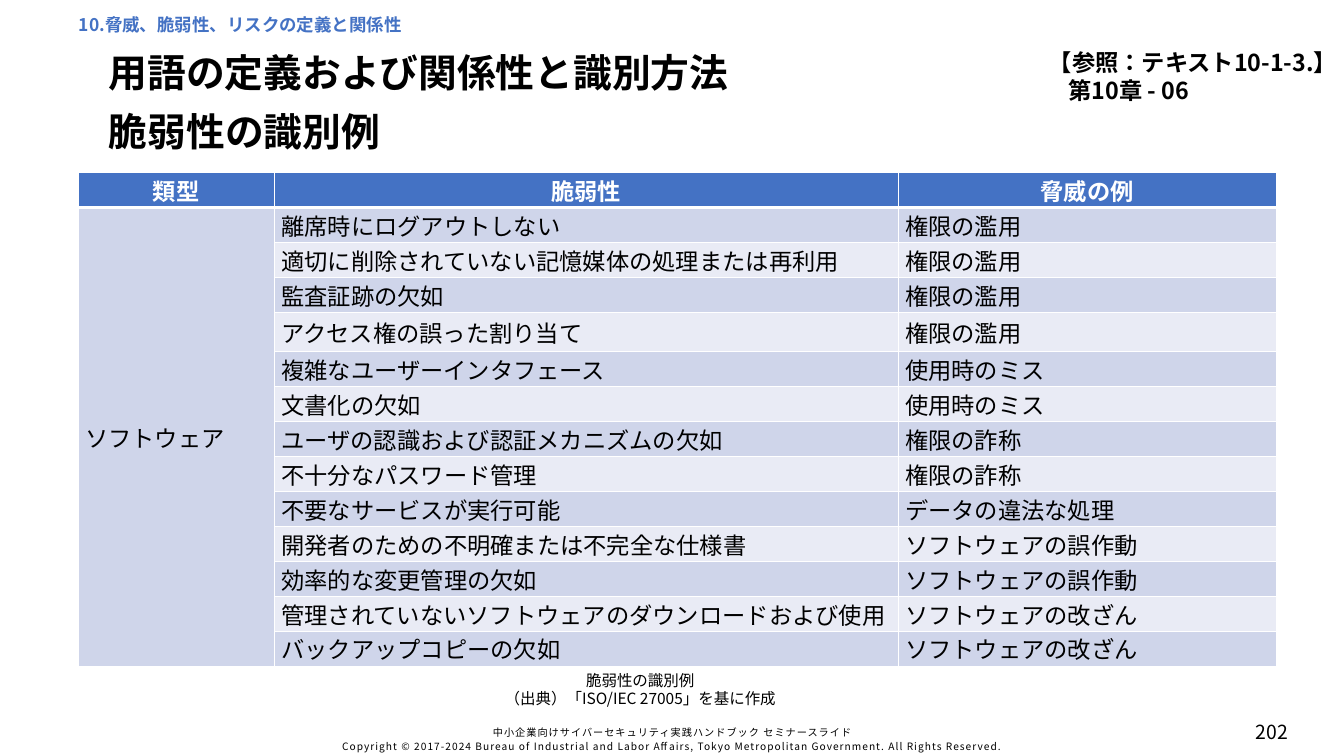
import dataclasses

import lxml.etree
import pptx
import pptx.dml.color
import pptx.enum.lang
import pptx.enum.text
import pptx.oxml.ns
import pptx.util

ALIGN = pptx.enum.text.PP_ALIGN
ANCHOR = pptx.enum.text.MSO_ANCHOR
PX = 9144  # EMU in one px, 100 px to the inch


@dataclasses.dataclass(frozen=True)
class Theme:
    font: str = "Noto Sans CJK JP"
    ink: str = "000000"
    white: str = "FFFFFF"
    accent: str = "4472C4"
    bands: tuple = ("CFD5EA", "E9EBF5")
    title: float = 40
    body: float = 24
    number: float = 20
    chapter: float = 18
    caption: float = 16
    footer: float = 10.5


THEME = Theme()
SLIDE_SIZE = (1926, 1083)

TITLE = ("脆弱性の識別例", (146, 161, 1634, 61))
HEADING = ("用語の定義および関係性と識別方法", (146, 77, 1634, 61))
CHAPTER = ("10.脅威、脆弱性、リスクの定義と関係性", (113, 28, 1747, 25))
REFERENCE = (("【参照：テキスト10-1-3.】", "第10章 - 06"), (1310, 64, 616, 91))
CAPTION = (("脆弱性の識別例", "（出典）「ISO/IEC 27005」を基に作成"), (433, 956, 969, 64))
FOOTER = (
    (
        "中小企業向けサイバーセキュリティ実践ハンドブック セミナースライド",
        "Copyright © 2017-2024 Bureau of Industrial and Labor Affairs, "
        "Tokyo Metropolitan Government. All Rights Reserved.",
    ),
    (374, 1033, 1179, 51),
)
PAGE_NUMBER = ("202", (1738, 1029, 169, 38))

HEADERS = ("類型", "脆弱性", "脅威の例")
CATEGORY = "ソフトウェア"
VULNERABILITIES = (
    ("離席時にログアウトしない", "権限の濫用"),
    ("適切に削除されていない記憶媒体の処理または再利用", "権限の濫用"),
    ("監査証跡の欠如", "権限の濫用"),
    ("アクセス権の誤った割り当て", "権限の濫用"),
    ("複雑なユーザーインタフェース", "使用時のミス"),
    ("文書化の欠如", "使用時のミス"),
    ("ユーザの認識および認証メカニズムの欠如", "権限の詐称"),
    ("不十分なパスワード管理", "権限の詐称"),
    ("不要なサービスが実行可能", "データの違法な処理"),
    ("開発者のための不明確または不完全な仕様書", "ソフトウェアの誤作動"),
    ("効率的な変更管理の欠如", "ソフトウェアの誤作動"),
    ("管理されていないソフトウェアのダウンロードおよび使用", "ソフトウェアの改ざん"),
    ("バックアップコピーの欠如", "ソフトウェアの改ざん"),
)
TABLE_ORIGIN = (112, 247)
COLUMN_WIDTHS = (281, 894, 542)
ROW_HEIGHT = 50
TALL_ROW, TALL_HEIGHT = 4, 57
CELL_TOP_MARGIN = 16


def emu(lengths):
    return [length * PX for length in lengths]


def apply(target, values):
    for name, value in values.items():
        setattr(target, name, value)


def write(frame, lines, size, color=THEME.ink, bold=False, aligns=(ALIGN.LEFT,),
          spacing=None, tracking=None):
    """Fill a text frame; the last alignment serves all further lines."""
    for index, line in enumerate(lines):
        paragraph = frame.paragraphs[0] if index == 0 else frame.add_paragraph()
        apply(paragraph, {
            "alignment": aligns[min(index, len(aligns) - 1)],
            "line_spacing": spacing,
            "space_before": pptx.util.Pt(0),
        })
        run = paragraph.add_run()
        run.text = line
        apply(run.font, {
            "name": THEME.font,
            "size": pptx.util.Pt(size),
            "bold": bold,
            "language_id": pptx.enum.lang.MSO_LANGUAGE_ID.JAPANESE,
        })
        run.font.color.rgb = pptx.dml.color.RGBColor.from_string(color)
        properties = run.font._element
        east_asian = lxml.etree.SubElement(properties, pptx.oxml.ns.qn("a:ea"))
        east_asian.set("typeface", THEME.font)
        if tracking:
            properties.set("spc", str(tracking))


def place_text(shape, lines, box, size, anchor=ANCHOR.TOP, margins=None, **style):
    apply(shape, dict(zip(("left", "top", "width", "height"), emu(box))))
    frame = shape.text_frame
    apply(frame, {
        "word_wrap": True,
        "auto_size": pptx.enum.text.MSO_AUTO_SIZE.NONE,
        "vertical_anchor": anchor,
    })
    apply(frame, margins or {})
    write(frame, lines, size, **style)


def add_text(slide, lines, box, size, **style):
    place_text(slide.shapes.add_textbox(*emu(box)), lines, box, size, **style)


def draw_borders(cell, bottom):
    properties = cell._tc.get_or_add_tcPr()
    widths = {"a:lnL": 1, "a:lnR": 1, "a:lnT": 1, "a:lnB": bottom}
    for index, (tag, width) in enumerate(widths.items()):
        line = lxml.etree.Element(pptx.oxml.ns.qn(tag), w=str(pptx.util.Pt(width)))
        fill = lxml.etree.SubElement(line, pptx.oxml.ns.qn("a:solidFill"))
        lxml.etree.SubElement(fill, pptx.oxml.ns.qn("a:srgbClr"), val=THEME.white)
        properties.insert(index, line)


def add_vulnerability_table(slide):
    rows = [HEADERS] + [(CATEGORY if index == 0 else "", *pair)
                        for index, pair in enumerate(VULNERABILITIES)]
    heights = [TALL_HEIGHT if index == TALL_ROW else ROW_HEIGHT
               for index in range(len(rows))]
    box = (*TABLE_ORIGIN, sum(COLUMN_WIDTHS), sum(heights))
    table = slide.shapes.add_table(len(rows), len(HEADERS), *emu(box)).table
    for column, width in zip(table.columns, emu(COLUMN_WIDTHS)):
        column.width = width
    for row, height in zip(table.rows, emu(heights)):
        row.height = height
    table.cell(1, 0).merge(table.cell(len(rows) - 1, 0))

    for row_index, texts in enumerate(rows):
        header = row_index == 0
        band = THEME.accent if header else THEME.bands[(row_index - 1) % 2]
        for column_index, text in enumerate(texts):
            cell = table.cell(row_index, column_index)
            color = THEME.bands[0] if cell.is_spanned else band
            cell.fill.solid()
            cell.fill.fore_color.rgb = pptx.dml.color.RGBColor.from_string(color)
            draw_borders(cell, bottom=3 if header else 1)
            apply(cell, {
                "vertical_anchor": ANCHOR.TOP if header else ANCHOR.MIDDLE,
                "margin_top": CELL_TOP_MARGIN * PX,
                "margin_bottom": 0,
            })
            if text:
                write(cell.text_frame, [text], THEME.body, bold=header,
                      color=THEME.white if header else THEME.ink,
                      aligns=(ALIGN.CENTER if header else ALIGN.LEFT,),
                      spacing=pptx.util.Pt(THEME.body))


def main():
    presentation = pptx.Presentation()
    presentation.slide_width, presentation.slide_height = emu(SLIDE_SIZE)
    slide = presentation.slides.add_slide(presentation.slide_layouts[5])
    centred = (ALIGN.CENTER,)
    heading_style = {"anchor": ANCHOR.MIDDLE, "bold": True, "spacing": 0.9}

    text, box = TITLE
    place_text(slide.shapes.title, [text], box, THEME.title, **heading_style)
    text, box = HEADING
    add_text(slide, [text], box, THEME.title, **heading_style)
    text, box = CHAPTER
    add_text(slide, [text], box, THEME.chapter, color=THEME.accent, bold=True,
             spacing=pptx.util.Pt(15),
             margins={"margin_left": 0, "margin_top": PX,
                      "margin_right": 0, "margin_bottom": 0})
    add_text(slide, *REFERENCE, THEME.body, bold=True,
             aligns=(ALIGN.RIGHT, ALIGN.CENTER))
    add_vulnerability_table(slide)
    add_text(slide, *CAPTION, THEME.caption, aligns=centred)
    add_text(slide, *FOOTER, THEME.footer, anchor=ANCHOR.MIDDLE, aligns=centred,
             spacing=1.1, tracking=110)
    text, box = PAGE_NUMBER
    add_text(slide, [text], box, THEME.number, anchor=ANCHOR.MIDDLE, aligns=centred)
    presentation.save("out.pptx")


if __name__ == "__main__":
    main()
